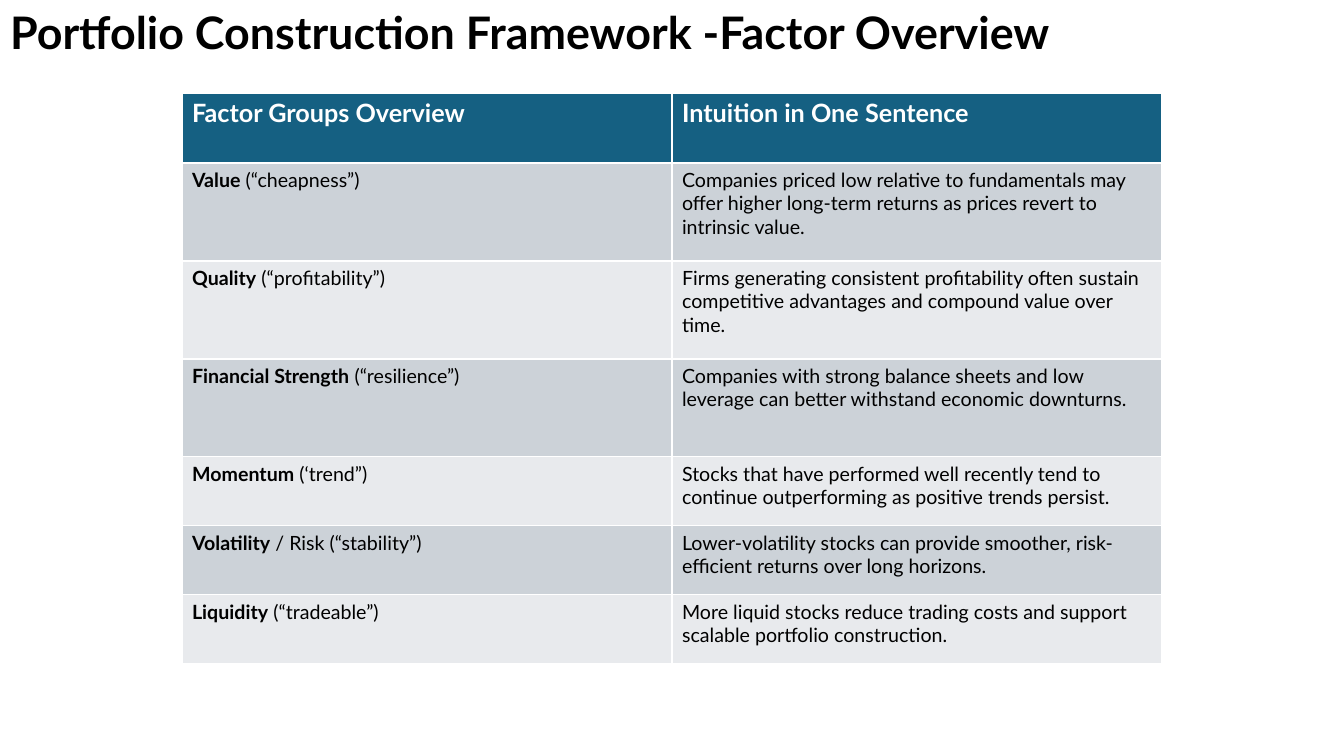
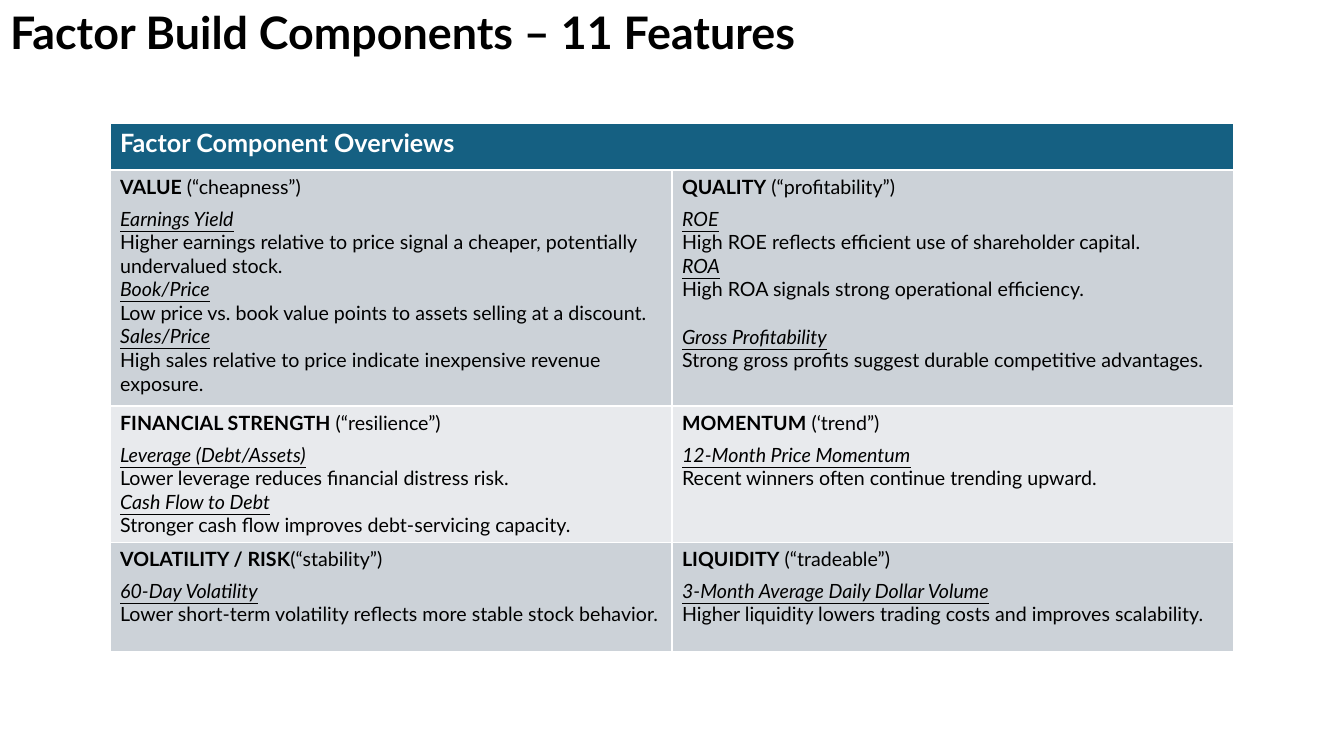
from pptx import Presentation
from pptx.dml.color import RGBColor
from pptx.enum import text as t

PX = 914400 / 100.8
FONT = "Lato"
HUES = {"ink": "000000", "paper": "FFFFFF", "head": "156082",
        "dark": "CCD2D8", "light": "E8EAED"}

GROUPS = [
    ("Value", " (“cheapness”)",
     "Companies priced low relative to fundamentals may offer higher "
     "long-term returns as prices revert to intrinsic value."),
    ("Quality", " (“profitability”)",
     "Firms generating consistent profitability often sustain competitive "
     "advantages and compound value over time."),
    ("Financial Strength", " (“resilience”)",
     "Companies with strong balance sheets and low leverage can better "
     "withstand economic downturns."),
    ("Momentum", " (‘trend”)",
     "Stocks that have performed well recently tend to continue "
     "outperforming as positive trends persist."),
    ("Volatility", " / Risk (“stability”)",
     "Lower-volatility stocks can provide smoother, risk-efficient returns "
     "over long horizons."),
    ("Liquidity", " (“tradeable”)",
     "More liquid stocks reduce trading costs and support scalable "
     "portfolio construction."),
]

# Each factor: name, nickname, then features as (name, note[, gap above in pt])
PARTS = [
    [("VALUE", " (“cheapness”)", [
        ("Earnings Yield", "Higher earnings relative to price signal a "
         "cheaper, potentially undervalued stock."),
        ("Book/Price", "Low price vs. book value points to assets selling "
         "at a discount."),
        ("Sales/Price", "High sales relative to price indicate inexpensive "
         "revenue exposure.")]),
     ("QUALITY", " (“profitability”)", [
         ("ROE", "High ROE reflects efficient use of shareholder capital."),
         ("ROA", "High ROA signals strong operational efficiency."),
         ("Gross Profitability", "Strong gross profits suggest durable "
          "competitive advantages.", 17)])],
    [("FINANCIAL STRENGTH", " (“resilience”)", [
        ("Leverage (Debt/Assets)",
         "Lower leverage reduces financial distress risk."),
        ("Cash Flow to Debt",
         "Stronger cash flow improves debt-servicing capacity.")]),
     ("MOMENTUM", " (‘trend”)", [
         ("12-Month Price Momentum",
          "Recent winners often continue trending upward.")])],
    [("VOLATILITY / RISK", "(“stability”)", [
        ("60-Day Volatility", "Lower short-term volatility reflects more "
         "stable stock behavior.")]),
     ("LIQUIDITY", " (“tradeable”)", [
         ("3-Month Average Daily Dollar Volume", "Higher liquidity lowers "
          "trading costs and improves scalability.")])],
]


def px(n):
    return round(n * PX)


def put(para, words, size=14, hue="ink", bold=False, slant=False):
    """Add a run; slant makes it italic and underlined."""
    run = para.add_run()
    run.text = words
    font = run.font
    font.name, font.size = FONT, t_pt(size)
    font.bold, font.italic, font.underline = bold, slant, slant
    font.color.rgb = RGBColor.from_string(HUES[hue])


def t_pt(n):
    return round(n * 12700)


def start(deck, title, wide):
    """Add a slide with its title at the top left."""
    slide = deck.slides.add_slide(deck.slide_layouts[5])
    box = slide.shapes.title
    box.left, box.top, box.width, box.height = 0, 0, px(wide), px(65)
    frame = box.text_frame
    frame.word_wrap = False
    frame.auto_size = t.MSO_AUTO_SIZE.SHAPE_TO_FIT_TEXT
    frame.vertical_anchor = t.MSO_ANCHOR.TOP
    para = frame.paragraphs[0]
    para.alignment = t.PP_ALIGN.LEFT
    put(para, title, size=32, bold=True)
    return slide


def grid(slide, left, top, wide, rows, heads):
    """Add a two-column banded table with a header row."""
    frame = slide.shapes.add_table(len(rows), 2, px(left), px(top),
                                   px(2 * wide), px(sum(rows)))
    table = frame.table
    for col in table.columns:
        col.width = px(wide)
    for i, (row, high) in enumerate(zip(table.rows, rows)):
        row.height = px(high)
        hue = "head" if i == 0 else "dark" if i % 2 else "light"
        for cell in row.cells:
            cell.fill.solid()
            cell.fill.fore_color.rgb = RGBColor.from_string(HUES[hue])
    for j, head in enumerate(heads):
        put(first(table.cell(0, j)), head, size=18, hue="paper", bold=True)
    return table


def first(cell):
    return cell.text_frame.paragraphs[0]


def label(para, name, nick):
    put(para, name, bold=True)
    put(para, nick)


def feature(frame, name, note, gap=0):
    para = frame.add_paragraph()
    para.space_before = t_pt(gap)
    put(para, name, slant=True)
    put(frame.add_paragraph(), note)


def overview(deck):
    slide = start(deck, "Portfolio Construction Framework -Factor Overview",
                  1076)
    table = grid(slide, 182, 93, 490, [70] + [98] * 3 + [69] * 3,
                 ["Factor Groups Overview", "Intuition in One Sentence"])
    for i, (name, nick, note) in enumerate(GROUPS, 1):
        label(first(table.cell(i, 0)), name, nick)
        put(first(table.cell(i, 1)), note)


def features(deck):
    slide = start(deck, "Factor Build Components – 11 Features", 823)
    table = grid(slide, 110, 123, 562, [47, 236, 136, 109],
                 ["Factor Component Overviews"])
    table.cell(0, 0).merge(table.cell(0, 1))
    for i, row in enumerate(PARTS, 1):
        for j, (name, nick, items) in enumerate(row):
            cell = table.cell(i, j)
            para = first(cell)
            para.space_after = t_pt(6)
            label(para, name, nick)
            for item in items:
                feature(cell.text_frame, *item)


def main():
    deck = Presentation()
    deck.slide_width, deck.slide_height = px(1344), px(756)
    overview(deck)
    features(deck)
    deck.save("out.pptx")


if __name__ == "__main__":
    main()
